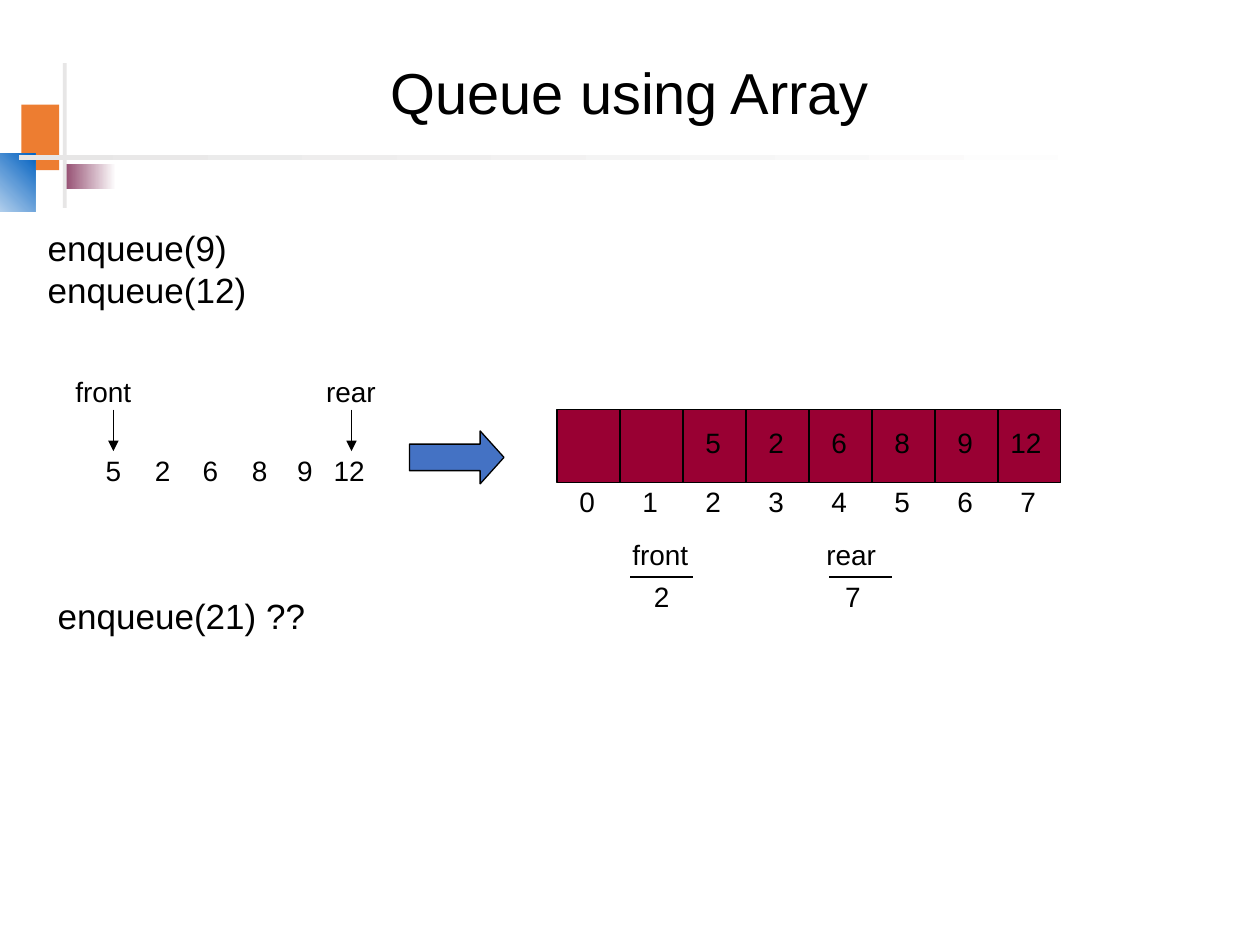
"""Build a slide that shows a queue stored in an array."""
from pptx import Presentation
from pptx.dml.color import RGBColor as RGB
from pptx.enum.shapes import MSO_CONNECTOR as LINK, MSO_SHAPE as SHAPE
from pptx.enum.text import MSO_ANCHOR as ANCHOR, MSO_AUTO_SIZE as AUTO, PP_ALIGN as ALIGN
from pptx.oxml.ns import qn
from pptx.util import Inches, Pt
from lxml.etree import SubElement as sub


def paint(fill, *tones, turn=0):
    if len(tones) == 1:
        fill.solid()
        fill.fore_color.rgb = RGB.from_string(tones[0])
        return
    fill.gradient()
    fill.gradient_angle = turn
    for stop, tone in zip(fill.gradient_stops, tones):
        stop.color.rgb = RGB.from_string(tone)


def write(text, x, y, w, h=0.37, size=16, align=ALIGN.LEFT, anchor=ANCHOR.TOP,
          wrap=False, auto=AUTO.SHAPE_TO_FIT_TEXT, space=1.0):
    frame = shapes.add_textbox(Inches(x), Inches(y), Inches(w), Inches(h)).text_frame
    frame.word_wrap = wrap
    frame.auto_size = auto
    frame.vertical_anchor = anchor
    frame.text = text
    for para in frame.paragraphs:
        para.alignment = align
        para.line_spacing = space
        font = para.runs[0].font
        font.name = "Arial"
        font.size = Pt(size)
        paint(font.fill, "000000")


deck = Presentation()
deck.slide_width, deck.slide_height = Inches(10), Inches(7.5)
shapes = deck.slides.add_slide(deck.slide_layouts[6]).shapes

left, top, cell, high, count = 4.42, 3.25, 0.5, 0.58, 8
blocks = [
    (SHAPE.RECTANGLE, 0.17, 0.83, 0.3, 0.52, ["ED7D31"], 0, False),
    (SHAPE.RECTANGLE, 0.52, 1.3, 0.4, 0.2, ["954F72", "FFFFFF"], 0, False),
    (SHAPE.RECTANGLE, -0.33, 1.22, 0.61, 0.46, ["FFFFFF", "0563C1"], 45, False),
    (SHAPE.RECTANGLE, 0.5, 0.5, 0.03, 1.15, ["E7E6E6"], 0, False),
    (SHAPE.RECTANGLE, 0.15, 1.23, 9, 0.04, ["E7E6E6", "FFFFFF"], 0, False),
    (SHAPE.RIGHT_ARROW, 3.25, 3.42, 0.75, 0.42, ["4472C4"], 0, True),
    (SHAPE.RECTANGLE, left, top, count * cell, high, ["990033"], 0, True),
]
for kind, x, y, w, h, tones, turn, edge in blocks:
    block = shapes.add_shape(kind, Inches(x), Inches(y), Inches(w), Inches(h))
    block.shadow.inherit = False
    paint(block.fill, *tones, turn=turn)
    if kind == SHAPE.RIGHT_ARROW:
        block.adjustments[1] = 0.45
    if edge:
        paint(block.line.fill, "000000")
        block.line.width = Pt(0.75)
    else:
        block.line.fill.background()

lines = [(x, 3.25, x, 3.58, True) for x in (0.9, 2.79)]
lines += [(x, 4.58, x + 0.5, 4.58, False) for x in (5, 6.58)]
for i in range(1, count):
    x = left + i * cell
    lines.append((x, top, x, top + high, False))
for x1, y1, x2, y2, arrow in lines:
    line = shapes.add_connector(LINK.STRAIGHT, Inches(x1), Inches(y1), Inches(x2), Inches(y2))
    paint(line.line.fill, "000000")
    line.line.width = Pt(0.75)
    props = line._element.spPr
    if arrow:
        sub(props.find(qn("a:ln")), qn("a:tailEnd"), type="triangle")
    sub(props, qn("a:effectLst"))

write("Queue using Array", 0.5, 0.4, 9, 0.72, size=33, align=ALIGN.CENTER,
      anchor=ANCHOR.MIDDLE, wrap=True, auto=AUTO.NONE, space=0.9)
write("enqueue(9)\nenqueue(12)", 0.28, 1.75, 1.8, 0.77, size=20)
write("enqueue(21) ??", 0.36, 4.67, 2.2, 0.44, size=20)

for text, x, y, w in [("front", 0.5, 2.92, 0.66), ("rear", 2.49, 2.92, 0.62),
                      ("front", 4.92, 4.22, 0.66), ("rear", 6.46, 4.22, 0.7),
                      ("2", 5.09, 4.55, 0.32), ("7", 6.61, 4.55, 0.32)]:
    write(text, x, y, w)

items = ["5", "2", "6", "8", "9", "12"]
spots = [0.74, 1.13, 1.51, 1.9, 2.26, 2.55]
for i, (item, spot) in enumerate(zip(items, spots)):
    wide = 0.18 + 0.14 * len(item)
    write(item, spot, 3.55, wide)
    write(item, 5.5 + i * cell - 0.08 * (len(item) - 1), 3.33, wide)
for i in range(count):
    write(str(i), 4.5 + i * cell, 3.8, 0.32)

deck.save("out.pptx")
